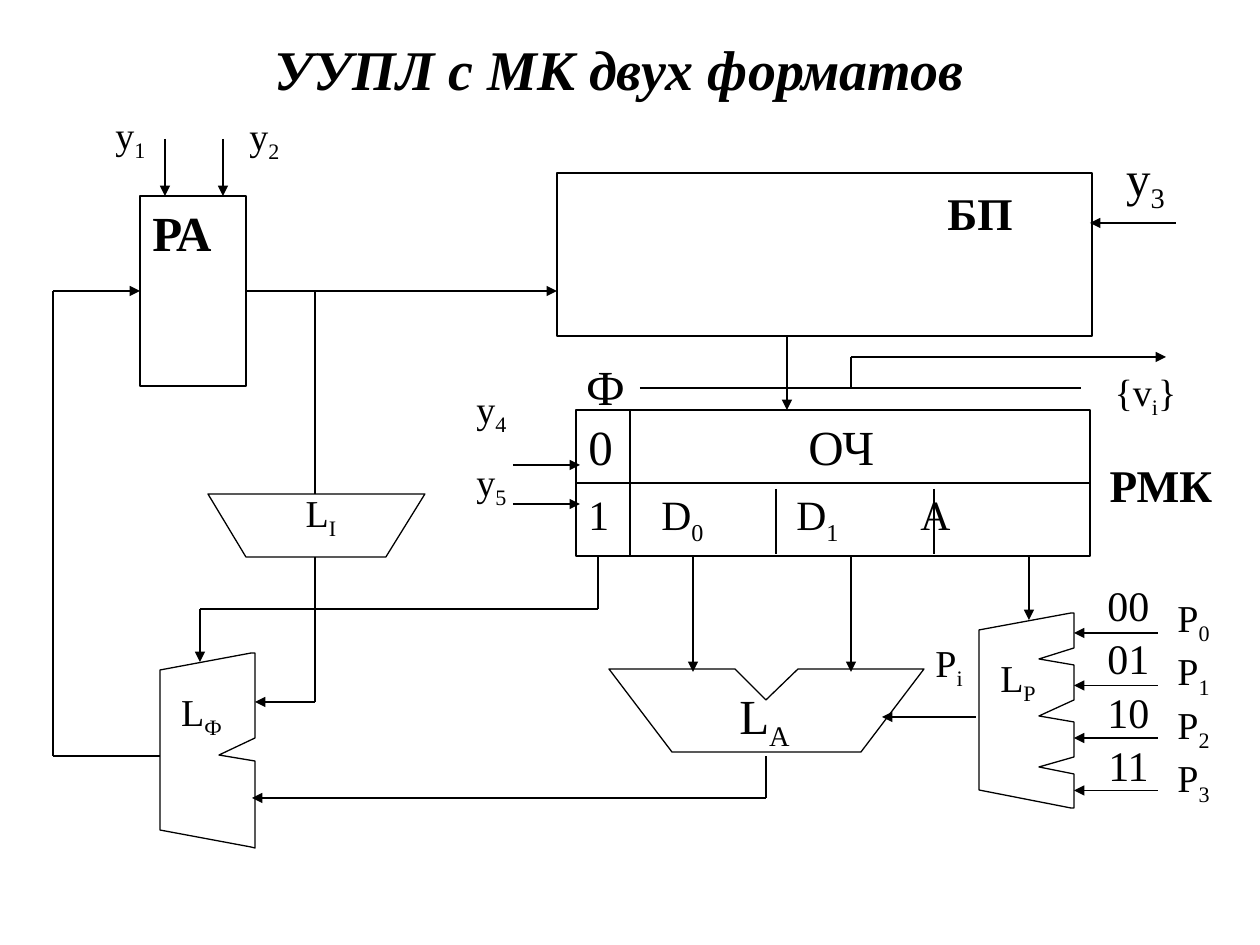
from lxml import etree
from pptx import Presentation
from pptx import util as u
from pptx.dml.color import RGBColor
from pptx.enum import shapes, text
from pptx.oxml.ns import qn

PX = 914400 / 126
BLACK = RGBColor(0, 0, 0)
FONT = "Times New Roman"
THIN, MID, THICK = 0.75, 1, 1.5

TITLE = "УУПЛ с МК двух форматов"

# Boxes: left, top, width, height, words, size, bold, tab stops
# In words, "_" switches subscript on and off
BOXES = [
    (557, 173, 535, 163, "", 28, False, []),
    (576, 410, 514, 73, "0\tОЧ", 28, False, [220]),
    (576, 483, 514, 73, "1\tD_0_\tD_1_\tA", 23.8, False, [73, 208, 332]),
]
REG = (140, 196, 106, 190, "РА", 28, True, [])

# Labels: left, top, width, height, words, size, bold
LABELS = [
    (69, 105, 123, 68, "y_1", 21.7, False),
    (203, 106, 123, 68, "y_2", 21.7, False),
    (1053, 141, 185, 91, "y_3", 28, False),
    (430, 379, 123, 69, "y_4", 21.7, False),
    (430, 452, 123, 68, "y_5", 21.7, False),
    (881, 179, 198, 68, "БП", 25.9, True),
    (1062, 451, 198, 68, "РМК", 25.9, True),
    (513, 350, 185, 91, "Ф", 28, False),
    (1053, 362, 185, 68, "{v_i_}", 21.7, False),
    (208, 483, 226, 68, "L_I", 21.7, False),
    (136, 682, 131, 68, "L_Ф", 21.7, False),
    (672, 679, 185, 91, "L_A", 28, False),
    (959, 648, 118, 68, "L_P", 21.7, False),
    (890, 633, 118, 66, "P_i", 21.7, False),
]
CODES = ["00", "01", "10", "11"]

# Outlines of the logic blocks
BLOCKS = [
    [(208, 494), (246, 557), (386, 557), (425, 494)],
    [(609, 669), (735, 669), (766, 700), (798, 669), (924, 669),
     (861, 752), (672, 752)],
    [(160, 670), (251, 653), (255, 653), (255, 738), (219, 755),
     (255, 761), (255, 848), (251, 847), (160, 830)],
    [(979, 630), (1071, 613), (1074, 613), (1074, 648), (1039, 659),
     (1074, 665), (1074, 700), (1039, 716), (1074, 722), (1074, 757),
     (1039, 767), (1074, 774), (1074, 808), (1071, 808), (979, 790)],
]

# Wires: width, arrow at the end, points
WIRES = [
    (THIN, True, [(165, 139), (165, 196)]),
    (THIN, True, [(223, 139), (223, 196)]),
    (THIN, True, [(1176, 223), (1090, 223)]),
    (THIN, True, [(513, 465), (580, 465)]),
    (THIN, True, [(513, 504), (580, 504)]),
    (THIN, False, [(630, 410), (630, 557)]),
    (THIN, False, [(776, 489), (776, 554)]),
    (THIN, False, [(934, 489), (934, 554)]),
    (THIN, False, [(640, 388), (1081, 388)]),
    (THICK, True, [(787, 336), (787, 410)]),
    (THICK, True, [(851, 388), (851, 357), (1166, 357)]),
    (THICK, False, [(315, 291), (315, 494)]),
    (THICK, True, [(315, 557), (315, 702), (255, 702)]),
    (THICK, False, [(598, 557), (598, 609)]),
    (THIN, True, [(598, 609), (200, 609), (200, 662)]),
    (THICK, True, [(693, 557), (693, 672)]),
    (THICK, True, [(851, 557), (851, 672)]),
    (THICK, True, [(1029, 557), (1029, 620)]),
    (THICK, True, [(976, 717), (882, 717)]),
    (THICK, True, [(766, 756), (766, 798), (252, 798)]),
    (THICK, False, [(160, 756), (53, 756), (53, 291)]),
]


def px(n):
    return u.Emu(round(n * PX))


def style(run, size, bold=False):
    run.font.name, run.font.size, run.font.bold = FONT, u.Pt(size), bold
    run.font.color.rgb = BLACK


def write(shape, words, size, bold, align):
    frame = shape.text_frame
    frame.word_wrap = True
    frame.vertical_anchor = text.MSO_ANCHOR.TOP
    par = frame.paragraphs[0]
    par.alignment = align
    for i, part in enumerate(words.split("_")):
        if part:
            run = par.add_run()
            run.text = part
            style(run, size, bold)
            if i % 2:
                run.font._element.set("baseline", "-25000")
    return par


def plain(shape, width):
    shape.shadow.inherit = False
    shape.fill.background()
    shape.line.color.rgb = BLACK
    shape.line.width = u.Pt(width)


def box(x, y, w, h, words, size, bold, stops):
    rect = slide.shapes.add_shape(shapes.MSO_SHAPE.RECTANGLE, px(x), px(y), px(w), px(h))
    plain(rect, MID)
    par = write(rect, words, size, bold, text.PP_ALIGN.LEFT)
    if stops:
        tabs = etree.SubElement(par._p.get_or_add_pPr(), qn("a:tabLst"))
        for stop in stops:
            etree.SubElement(tabs, qn("a:tab"), pos=str(px(stop)), algn="l")
    return rect


def label(x, y, w, h, words, size, bold):
    area = slide.shapes.add_textbox(px(x), px(y), px(w), px(h))
    write(area, words, size, bold, text.PP_ALIGN.CENTER)


def line(start, end, width, arrow):
    wire = slide.shapes.add_connector(
        shapes.MSO_CONNECTOR.STRAIGHT, *map(px, start + end))
    wire.line.color.rgb = BLACK
    wire.line.width = u.Pt(width)
    if arrow:
        etree.SubElement(wire.line._get_or_add_ln(), qn("a:tailEnd"), type="triangle")
    etree.SubElement(wire._element.spPr, qn("a:effectLst"))
    return wire


deck = Presentation()
deck.slide_width, deck.slide_height = px(1260), px(945)
slide = deck.slides.add_slide(deck.slide_layouts[5])

# Title
head = slide.shapes.title
head.left, head.top, head.width, head.height = map(px, (84, 32, 1071, 73))
head.text_frame.vertical_anchor = text.MSO_ANCHOR.MIDDLE
par = head.text_frame.paragraphs[0]
par.alignment = text.PP_ALIGN.CENTER
run = par.add_run()
run.text = TITLE
style(run, 32, True)
run.font.italic = True

# Memory, microcommand register and address register
for item in BOXES:
    box(*item)
reg = box(*REG)

# Logic blocks
for points in BLOCKS:
    pen = slide.shapes.build_freeform(*points[0], scale=PX)
    pen.add_line_segments(points[1:], close=True)
    plain(pen.convert_to_shape(), THIN)

# Wires, with the two joined to the address register
for width, arrow, points in WIRES:
    for i, (start, end) in enumerate(zip(points, points[1:]), 2):
        line(start, end, width, arrow and i == len(points))
line((53, 291), (140, 291), THICK, True).end_connect(reg, 1)
line((246, 291), (557, 291), THICK, True).begin_connect(reg, 3)

# Labels, then the inputs of the condition selector
for item in LABELS:
    label(*item)
for i, code in enumerate(CODES):
    y = 633 + 52.5 * i
    line((1158, y), (1074, y), THIN, True)
    label(1061, 573 + 53.5 * i, 135, 66, code, 24, False)
    label(1116, 588 + 53.5 * i, 155, 66, f"P_{i}", 21.7, False)

deck.save("out.pptx")
